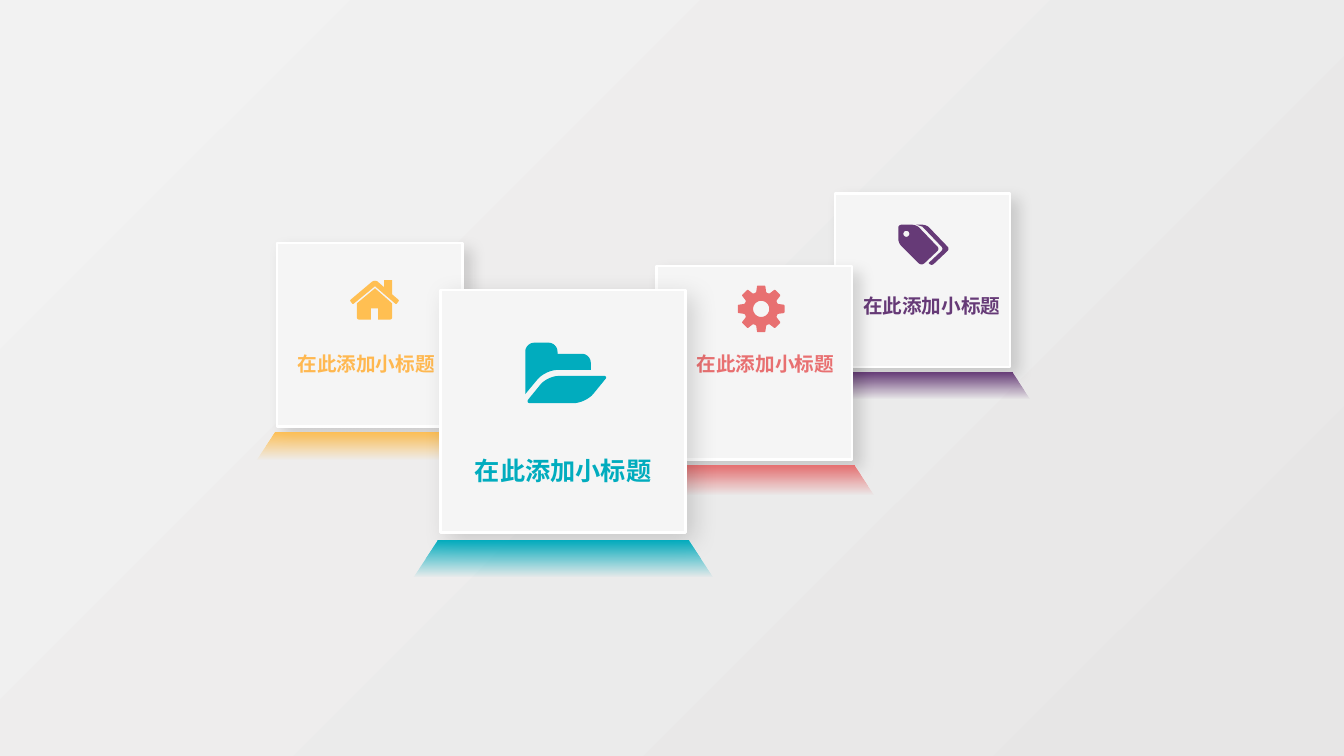
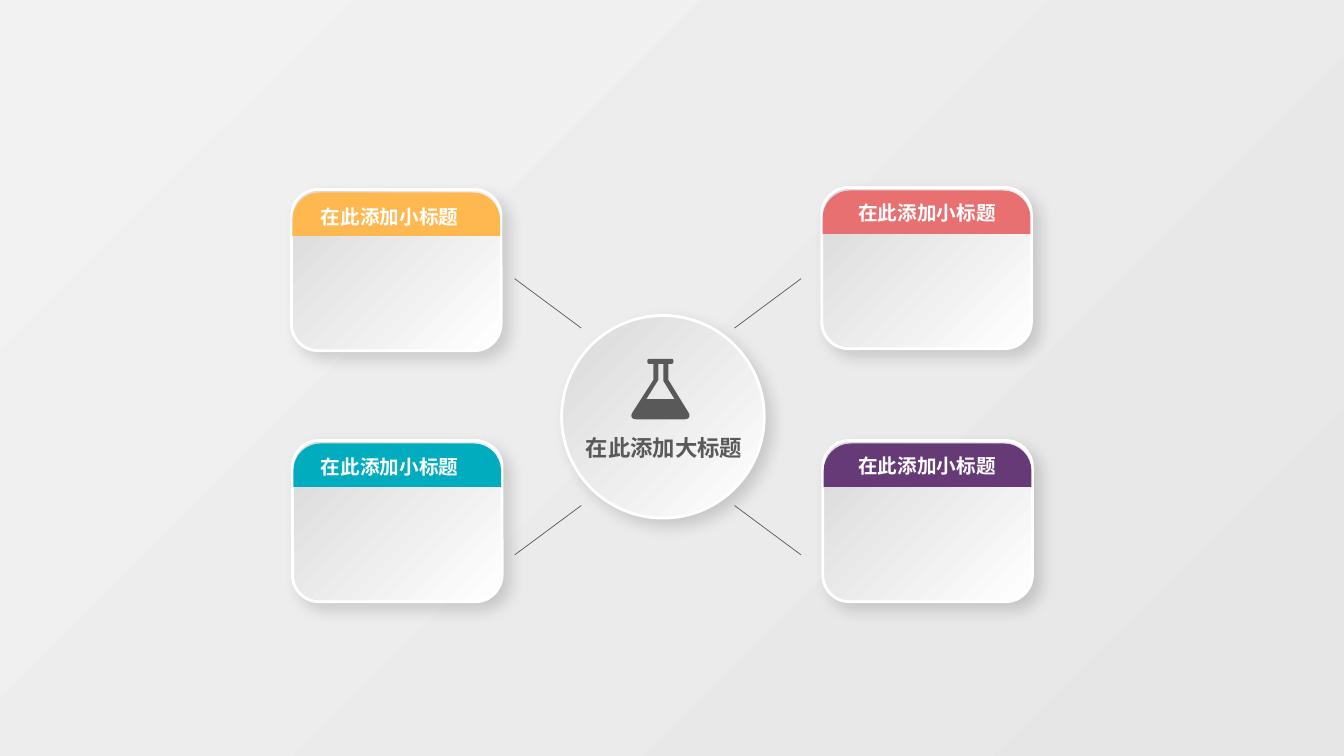
from itertools import product
from math import cos, dist, radians, sin

from lxml.etree import SubElement
from pptx import Presentation
from pptx.dml.color import RGBColor
from pptx.enum.shapes import MSO_CONNECTOR, MSO_SHAPE
from pptx.enum.text import MSO_ANCHOR, PP_ALIGN
from pptx.oxml.ns import qn
from pptx.util import Inches, Pt

RECT, ROUND_RECT = MSO_SHAPE.RECTANGLE, MSO_SHAPE.ROUNDED_RECTANGLE
TRAPEZOID, OVAL = MSO_SHAPE.TRAPEZOID, MSO_SHAPE.OVAL
LEFT, CENTER = PP_ALIGN.LEFT, PP_ALIGN.CENTER
STRAIGHT = MSO_CONNECTOR.STRAIGHT

WHITE = RGBColor(0xFF, 0xFF, 0xFF)
PAPER = RGBColor(0xF5, 0xF5, 0xF5)
SILVER = RGBColor(0xD9, 0xD9, 0xD9)
BACK_LIGHT = RGBColor(0xF2, 0xF2, 0xF2)
BACK_DARK = RGBColor(0xE7, 0xE6, 0xE6)
GREY = RGBColor(0x59, 0x59, 0x59)
ORANGE = RGBColor(0xFF, 0xB8, 0x50)
AMBER = RGBColor(0xFF, 0xBF, 0x52)
CORAL = RGBColor(0xE8, 0x70, 0x71)
TEAL = RGBColor(0x01, 0xAC, 0xBE)
PURPLE = RGBColor(0x66, 0x3A, 0x77)

FONT = "Noto Sans CJK SC"
SUBTITLE = "在此添加小标题"
MAIN_TITLE = "在此添加大标题"
FRAME_FORMAT = {"margin_left": 0, "margin_right": 0, "margin_top": 0,
                "margin_bottom": 0, "vertical_anchor": MSO_ANCHOR.MIDDLE}


def circle(cx, cy, r):
    return [(cx + sx * r, cy + sy * r, r)
            for sx, sy in ((-1, -1), (1, -1), (1, 1), (-1, 1))]


def gear_teeth(cx, cy):
    """Eight teeth, each from root to tip and back, as (radius, degrees)."""
    profile = ((0.17, -17), (0.235, -10), (0.235, 10), (0.17, 17))
    return [(cx + r * sin(radians(45 * tooth + a)),
             cy - r * cos(radians(45 * tooth + a)), 0.01)
            for tooth in range(8) for r, a in profile]


# Contours in inches from the icon's top left; a third value rounds the corner.
GEAR = [gear_teeth(0.23, 0.235), circle(0.23, 0.235, 0.08)]
HOUSE = [
    [(0.25, 0.08), (0.42, 0.23), (0.42, 0.39, 0.02), (0.28, 0.39), (0.28, 0.28),
     (0.21, 0.28), (0.21, 0.39), (0.07, 0.39, 0.02), (0.07, 0.23)],
    [(0.25, -0.01, 0.04), (0.34, 0.07), (0.34, 0), (0.42, 0), (0.42, 0.14),
     (0.49, 0.2, 0.01), (0.46, 0.24, 0.01), (0.25, 0.06), (0.03, 0.24, 0.01),
     (0, 0.2, 0.01)],
]
FOLDER = [
    [(0.22, 0.33, 0.11), (0.82, 0.33, 0.04), (0.6, 0.6, 0.12), (0, 0.6, 0.05)],
    [(0, 0, 0.09), (0.32, 0, 0.09), (0.32, 0.11), (0.65, 0.11, 0.09),
     (0.65, 0.27), (0.2, 0.27, 0.12), (0, 0.51)],
]
TAGS = [
    [(0, 0, 0.03), (0.18, 0, 0.04), (0.41, 0.24, 0.03), (0.23, 0.41, 0.04),
     (0, 0.18, 0.04)],
    circle(0.08, 0.09, 0.03),
    [(0.18, 0), (0.28, 0, 0.04), (0.51, 0.24, 0.03), (0.33, 0.41, 0.03),
     (0.3, 0.38), (0.45, 0.24, 0.03), (0.24, 0.02)],
]
FLASK = [
    [(0.16, 0, 0.02), (0.42, 0, 0.02), (0.42, 0.05, 0.02), (0.37, 0.05),
     (0.37, 0.21), (0.61, 0.6, 0.08), (-0.03, 0.6, 0.08), (0.22, 0.21),
     (0.22, 0.05), (0.16, 0.05, 0.02)],
    [(0.27, 0.05), (0.27, 0.21), (0.15, 0.4), (0.43, 0.4), (0.32, 0.22),
     (0.32, 0.05)],
]


def toward(start, end, length):
    share = length / dist(start, end)
    return tuple(a + (b - a) * share for a, b in zip(start, end))


def rounded(contour, steps=8):
    """Flatten each rounded corner into short segments of a cubic curve."""
    points = []
    for i, (x, y, *radius) in enumerate(contour):
        corner = (x, y)
        if not radius:
            points.append(corner)
            continue
        before, after = contour[i - 1][:2], contour[(i + 1) % len(contour)][:2]
        r = radius[0]
        curve = [toward(corner, end, length) for end, length in
                 ((before, r), (before, r * 0.45), (after, r * 0.45), (after, r))]
        for step in range(steps + 1):
            t = step / steps
            weights = ((1 - t) ** 3, 3 * t * (1 - t) ** 2, 3 * t * t * (1 - t), t ** 3)
            points.append(tuple(sum(w * p[axis] for w, p in zip(weights, curve))
                                for axis in (0, 1)))
    return points


def add_outline(slide, x, y, contours, color):
    builder = None
    for contour in contours:
        points = [(Inches(x + px), Inches(y + py)) for px, py in rounded(contour)]
        if builder is None:
            builder = slide.shapes.build_freeform(*points[0], scale=1.0)
        else:
            builder.move_to(*points[0])
        builder.add_line_segments(points[1:], close=True)
    outline = builder.convert_to_shape()
    outline.shadow.inherit = False
    outline.fill.solid()
    outline.fill.fore_color.rgb = color
    outline.line.fill.background()


def set_gradient(fill, first, last, angle):
    """Angle runs clockwise from left-to-right."""
    fill.gradient()
    fill.gradient_angle = (360 - angle) % 360
    for stop, color, position in zip(fill.gradient_stops, (first, last), (0, 1)):
        stop.color.rgb = color
        stop.position = position


def add_shape(slide, kind, x, y, w, h):
    shape = slide.shapes.add_shape(kind, *map(Inches, (x, y, w, h)))
    shape.shadow.inherit = False
    return shape


def raise_surface(shape, rim, blur):
    """White rim and a soft shadow to the lower right."""
    shape.line.color.rgb = WHITE
    shape.line.width = Pt(rim)
    effects = shape.element.spPr.find(qn("a:effectLst"))
    shadow = SubElement(effects, qn("a:outerShdw"), blurRad=str(Pt(blur)),
                        dist=str(Pt(7)), dir="2700000", algn="tl", rotWithShape="0")
    black = SubElement(shadow, qn("a:srgbClr"), val="000000")
    SubElement(black, qn("a:alpha"), val="14000")


def add_label(slide, x, y, w, h, text, size, color, align=CENTER):
    label = slide.shapes.add_textbox(*map(Inches, (x, y, w, h)))
    frame = label.text_frame
    frame.word_wrap = align == CENTER
    for name, value in FRAME_FORMAT.items():
        setattr(frame, name, value)
    paragraph = frame.paragraphs[0]
    paragraph.alignment = align
    run = paragraph.add_run()
    run.text = text
    for name, value in {"size": Pt(size), "bold": True, "name": FONT}.items():
        setattr(run.font, name, value)
    run.font.color.rgb = color
    for properties in label.element.iter(qn("a:rPr")):
        SubElement(properties, qn("a:ea"), typeface=FONT)


def add_slide(deck):
    slide = deck.slides.add_slide(deck.slide_layouts[6])
    set_gradient(slide.background.fill, BACK_LIGHT, BACK_DARK, 45)
    return slide


def add_standing_card(slide, x, y, w, color, blur=11):
    """Square card with a fading floor strip in front of it."""
    card = add_shape(slide, RECT, x, y, w, w * 0.99)
    card.fill.solid()
    card.fill.fore_color.rgb = PAPER
    raise_surface(card, 1.75, blur)
    floor = add_shape(slide, TRAPEZOID, x - w * 0.11, y + w * 1.02, w * 1.22, w * 0.15)
    floor.adjustments[0] = 0.66
    set_gradient(floor.fill, color, color, 90)
    floor.line.fill.background()
    faded = list(floor.element.spPr.iter(qn("a:srgbClr")))[-1]
    SubElement(faded, qn("a:alpha"), val="0")


def build_cards(deck):
    slide = add_slide(deck)
    # card box, floor and icon colour, blur, icon and its offset
    cards = (
        (8.28, 1.92, 1.74, PURPLE, 11, TAGS, 0.63, 0.31),
        (6.51, 2.64, 1.94, CORAL, 11, GEAR, 0.81, 0.19),
        (2.75, 2.41, 1.84, AMBER, 11, HOUSE, 0.72, 0.37),
        (4.37, 2.88, 2.43, TEAL, 18, FOLDER, 0.84, 0.52),
    )
    # label offset, size and colour
    labels = ((0.28, 1, 14, PURPLE), (0.4, 0.85, 14, CORAL),
              (0.2, 1.08, 14, ORANGE), (0.34, 1.64, 18, TEAL))
    for card, label in zip(cards, labels):
        x, y, w, color, blur, icon, icon_dx, icon_dy = card
        dx, dy, size, text_color = label
        add_standing_card(slide, x, y, w, color, blur)
        add_outline(slide, x + icon_dx, y + icon_dy, icon, color)
        add_label(slide, x + dx, y + dy, 1.92 * size / 18, 0.3 * size / 18,
                  SUBTITLE, size, text_color, LEFT)


def add_panel(slide, x, y, color, label_x, label_y):
    panel = add_shape(slide, ROUND_RECT, x, y, 2.08, 1.6)
    set_gradient(panel.fill, WHITE, SILVER, 225)
    raise_surface(panel, 2, 11)
    header = [(0, 0, 0.27), (2.06, 0, 0.27), (2.06, 0.43), (0, 0.43)]
    add_outline(slide, x + 0.01, y + 0.03, [header], color)
    add_label(slide, label_x, label_y, 2.69, 0.24, SUBTITLE, 14, WHITE)


def add_hub(slide, x, y, size):
    center_x, center_y = x + size / 2 - 0.05, y + size / 2
    for sx, sy in product((-1, 1), repeat=2):
        ends = (center_x + sx * 1.42, center_y + sy * 1.37,
                center_x + sx * 0.76, center_y + sy * 0.88)
        spoke = slide.shapes.add_connector(STRAIGHT, *map(Inches, ends))
        spoke.line.color.rgb = GREY
        spoke.line.width = Pt(0.5)
        SubElement(spoke.element.spPr, qn("a:effectLst"))
    disc = add_shape(slide, OVAL, x, y, size, size)
    set_gradient(disc.fill, WHITE, SILVER, 225)
    raise_surface(disc, 2, 11)
    add_outline(slide, x + 0.69, y + 0.43, FLASK, GREY)
    add_label(slide, x + 0.22, y + 1.18, 1.59, 0.27, MAIN_TITLE, 16, GREY)


def build_hub(deck):
    slide = add_slide(deck)
    for panel in ((2.9, 4.37, TEAL, 2.52, 4.51), (8.16, 4.37, PURPLE, 7.85, 4.5),
                  (2.89, 1.88, ORANGE, 2.52, 2.03), (8.15, 1.86, CORAL, 7.85, 1.99)):
        add_panel(slide, *panel)
    add_hub(slide, 5.57, 3.13, 2.01)


def main():
    deck = Presentation()
    deck.slide_width, deck.slide_height = Inches(13.33), Inches(7.5)
    build_cards(deck)
    build_hub(deck)
    deck.save("out.pptx")


if __name__ == "__main__":
    main()
